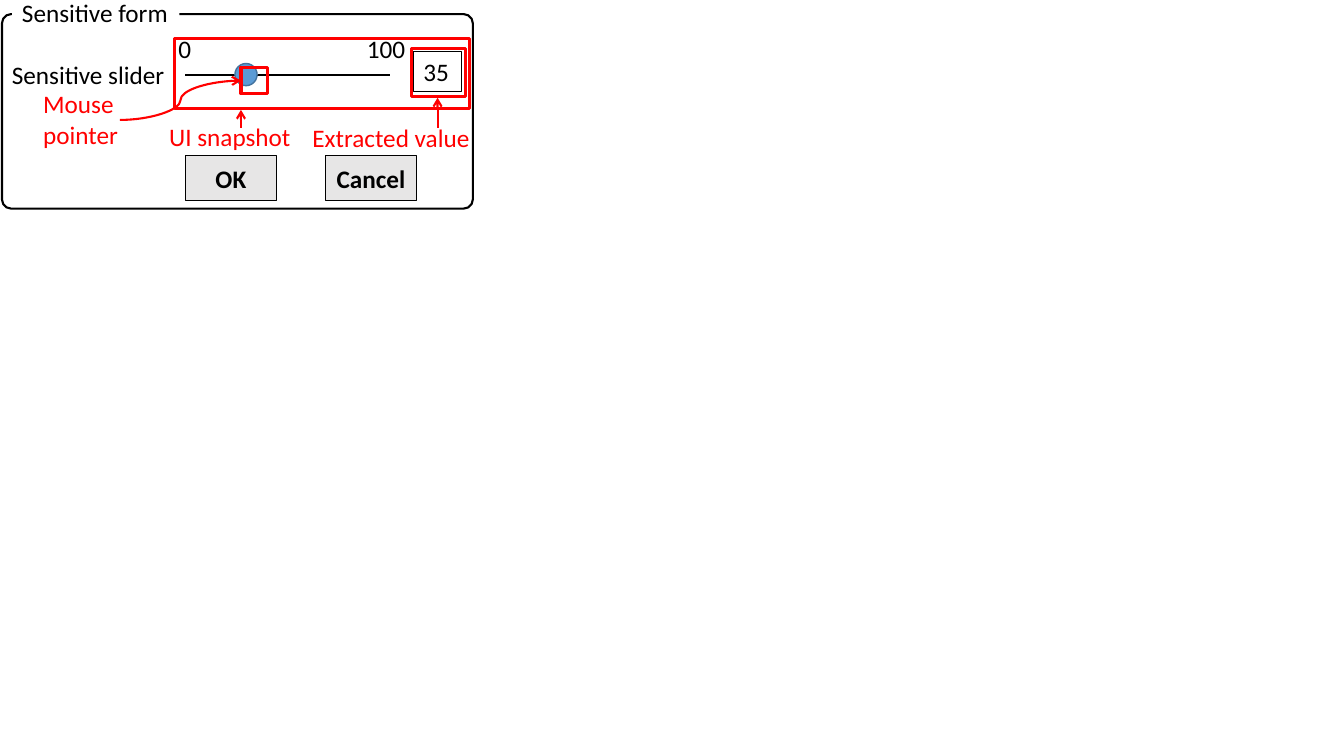
from collections import namedtuple
from dataclasses import dataclass

from lxml import etree
from pptx import Presentation
from pptx.dml.color import RGBColor
from pptx.enum import shapes, text
from pptx.oxml import ns
from pptx.util import Inches, Pt


@dataclass(frozen=True)
class Theme:
    font: str = "Calibri"
    size: float = 18
    ink: str = "000000"
    paper: str = "FFFFFF"
    accent: str = "FF0000"
    button: str = "E7E6E6"
    knob: str = "5B9BD5"
    knob_edge: str = "43739E"


THEME = Theme()
SHAPE = shapes.MSO_SHAPE
Box = namedtuple("Box", "left top width height")


def inside(box, left, top, width, height):
    """Return a box placed relative to the corner of another."""
    return Box(box.left + left, box.top + top, width, height)


def write(shape, wording, color=THEME.ink, bold=False, wrap=False, centered=False):
    frame = shape.text_frame
    frame.text = wording
    anchor = text.MSO_ANCHOR.MIDDLE if centered else text.MSO_ANCHOR.TOP
    for name, value in {"word_wrap": wrap, "vertical_anchor": anchor}.items():
        setattr(frame, name, value)
    paragraph = frame.paragraphs[0]
    paragraph.alignment = text.PP_ALIGN.CENTER if centered else text.PP_ALIGN.LEFT
    font = paragraph.runs[0].font
    formats = {"name": THEME.font, "size": Pt(THEME.size), "bold": bold}
    for name, value in formats.items():
        setattr(font, name, value)
    font.color.rgb = RGBColor.from_string(color)


def add_label(slide, box, wording, **style):
    label = slide.shapes.add_textbox(*map(Inches, box))
    write(label, wording, **style)
    return label


def add_block(slide, box, kind=SHAPE.RECTANGLE, fill=None, line=THEME.ink, weight=1.0):
    shape = slide.shapes.add_shape(kind, *map(Inches, box))
    shape.shadow.inherit = False
    if fill:
        shape.fill.solid()
        shape.fill.fore_color.rgb = RGBColor.from_string(fill)
    else:
        shape.fill.background()
    shape.line.color.rgb = RGBColor.from_string(line)
    shape.line.width = Pt(weight)
    return shape


def add_line(slide, start, end, color=THEME.ink, arrow=False, curved=False):
    kind = shapes.MSO_CONNECTOR.CURVE if curved else shapes.MSO_CONNECTOR.STRAIGHT
    connector = slide.shapes.add_connector(kind, *map(Inches, (*start, *end)))
    connector.line.color.rgb = RGBColor.from_string(color)
    connector.line.width = Pt(1.5)
    if arrow:
        outline = connector.line._get_or_add_ln()
        etree.SubElement(outline, ns.qn("a:tailEnd"), type="arrow")
    etree.SubElement(connector._element.spPr, ns.qn("a:effectLst"))


def add_form_frame(slide, box):
    frame = add_block(slide, box, SHAPE.ROUNDED_RECTANGLE, THEME.paper, weight=1.5)
    frame.adjustments[0] = 0.047
    # The caption's white fill interrupts the top border
    caption = add_label(slide, inside(box, 0.1, -0.22, 1.66, 0.4), "Sensitive form")
    caption.fill.solid()
    caption.fill.fore_color.rgb = RGBColor.from_string(THEME.paper)
    add_label(slide, inside(box, 0, 0.4, 1.73, 0.4), "Sensitive slider")


def add_buttons(slide, box):
    width = 0.9
    for wording, left in (("OK", 0), ("Cancel", box.width - width)):
        button = add_block(slide, inside(box, left, 0, width, box.height), fill=THEME.button)
        write(button, wording, bold=True, centered=True)
        button.text_frame.margin_left = button.text_frame.margin_right = Inches(0.05)


def add_slider(slide, box):
    # Track and knob
    track_y = box.top + 0.36
    add_line(slide, (box.left + 0.11, track_y), (box.left + 2.14, track_y))
    add_block(slide, inside(box, 0.6, 0.25, 0.22, 0.22), SHAPE.OVAL,
              THEME.knob, THEME.knob_edge)
    # Ends of the scale
    for wording, left, width in (("0", -0.06, 0.33), ("100", 1.81, 0.59)):
        add_label(slide, inside(box, left, -0.1, width, 0.4), wording)
    # Current value
    value = add_block(slide, inside(box, 2.37, 0.13, 0.48, 0.4), weight=0.75)
    write(value, "35", wrap=True)


def add_annotations(slide, box):
    # Outlines: snapshot, pointer and value
    pointer = inside(box, 0.66, 0.29, 0.26, 0.26)
    for outline in (box, pointer, inside(box, 2.35, 0.1, 0.54, 0.48)):
        add_block(slide, outline, line=THEME.accent, weight=2.25)
    # Captions
    for wording, left, top, width, height in (
        ("Mouse pointer", -1.4, 0.45, 1.08, 0.71),
        ("UI snapshot", -0.15, 0.77, 1.42, 0.4),
        ("Extracted value", 1.27, 0.78, 1.78, 0.4),
    ):
        add_label(slide, inside(box, left, top, width, height), wording,
                  color=THEME.accent, wrap=wording == "Mouse pointer")
    # Arrows from captions to outlines
    add_line(slide, (box.left - 0.54, box.top + 0.81),
             (pointer.left, pointer.top + pointer.height / 2),
             THEME.accent, arrow=True, curved=True)
    for x, tip in ((0.66, 0.71), (2.61, 0.59)):
        add_line(slide, (box.left + x, box.top + 0.89), (box.left + x, box.top + tip),
                 THEME.accent, arrow=True)


def main():
    presentation = Presentation()
    presentation.slide_width = Inches(13.33)
    presentation.slide_height = Inches(7.5)
    slide = presentation.slides.add_slide(presentation.slide_layouts[6])

    form = Box(0.02, 0.14, 4.67, 1.93)
    slider = inside(form, 1.71, 0.24, 2.93, 0.7)
    add_form_frame(slide, form)
    add_buttons(slide, inside(form, 1.82, 1.4, 2.29, 0.45))
    add_slider(slide, slider)
    add_annotations(slide, slider)
    presentation.save("out.pptx")


if __name__ == "__main__":
    main()
